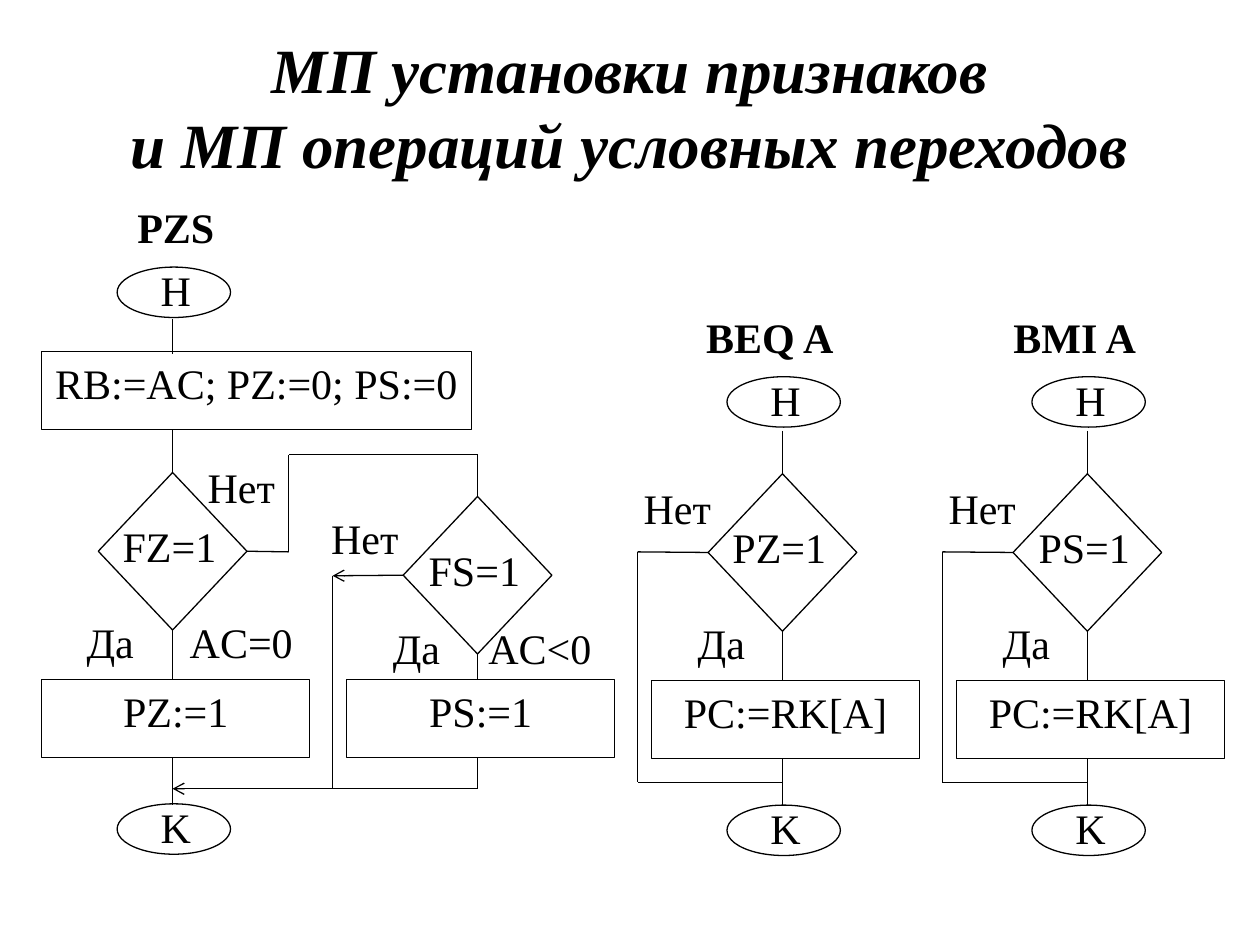
"""Build the slide with flowcharts for flag setting and conditional jumps."""
from dataclasses import dataclass

from lxml import etree
from pptx import Presentation, util as u
from pptx.dml.color import RGBColor
from pptx.enum import shapes, text
from pptx.oxml import ns


@dataclass(frozen=True)
class Theme:
    ink: RGBColor = RGBColor(0, 0, 0)
    face: str = "Times New Roman"
    head: int = 36
    body: int = 24
    line: float = 0.75


class Chart:
    def __init__(self, slide, theme):
        self.slide = slide
        self.theme = theme

    def letter(self, frame, words, size=None, bold=False, slant=False):
        frame.word_wrap = True
        para = frame.paragraphs[0]
        para.text = words
        para.alignment = text.PP_ALIGN.CENTER
        font = para.font
        font.name = self.theme.face
        font.size = u.Pt(size or self.theme.body)
        font.bold, font.italic = bold, slant
        font.color.rgb = self.theme.ink

    def label(self, x, y, words, w=1.21, h=0.54, mid=False, **style):
        box = self.slide.shapes.add_textbox(*map(u.Inches, (x, y, w, h)))
        if mid:
            box.text_frame.vertical_anchor = text.MSO_ANCHOR.MIDDLE
        self.letter(box.text_frame, words, **style)

    def shape(self, kind, x, y, w, h):
        item = self.slide.shapes.add_shape(kind, *map(u.Inches, (x, y, w, h)))
        item.shadow.inherit = False
        item.fill.background()
        item.line.color.rgb = self.theme.ink
        item.line.width = u.Pt(self.theme.line)
        return item

    def block(self, x, y, words, w=2.13):
        item = self.shape(shapes.MSO_SHAPE.RECTANGLE, x - 1.04, y, w, 0.62)
        item.text_frame.vertical_anchor = text.MSO_ANCHOR.TOP
        self.letter(item.text_frame, words)

    def oval(self, x, y, words):
        self.shape(shapes.MSO_SHAPE.OVAL, x - 0.44, y, 0.9, 0.4)
        self.label(x - 0.58, y - 0.07, words)

    def test(self, x, y, words):
        item = self.shape(shapes.MSO_SHAPE.DIAMOND, x - 0.59, y, 1.18, 1.25)
        self.label(x - 0.63, y + 0.33, words)
        return item

    def wire(self, start, end, out=None, into=None, arrow=False):
        ends = map(u.Inches, (*start, *end))
        item = self.slide.shapes.add_connector(shapes.MSO_CONNECTOR.STRAIGHT, *ends)
        if out:
            item.begin_connect(*out)
        if into:
            item.end_connect(*into)
        item.line.color.rgb = self.theme.ink
        item.line.width = u.Pt(self.theme.line)
        props = item._element.spPr
        if arrow:
            etree.SubElement(props.find(ns.qn("a:ln")), ns.qn("a:tailEnd"), type="arrow")
        etree.SubElement(props, ns.qn("a:effectLst"))

    def jump(self, x, name, flag):
        self.label(x - 0.82, 2.42, name, w=1.44, bold=True)
        self.oval(x, 2.99, "Н")
        test = self.test(x, 3.76, flag)
        self.block(x, 5.4, "PC:=RK[A]")
        self.oval(x, 6.39, "K")
        self.label(x - 1.09, 4.85, "Да")
        self.label(x - 1.44, 3.78, "Нет")
        side = x - 1.15
        self.wire((x, 3.42), (x, 3.76), into=(test, 0))
        self.wire((x, 5.01), (x, 5.4), out=(test, 2))
        self.wire((x, 6.02), (x, 6.4))
        self.wire((x - 0.59, 4.38), (side, 4.38), out=(test, 1))
        self.wire((side, 4.38), (side, 6.21))
        self.wire((x, 6.21), (side, 6.21))

    def flags(self, x, far):
        self.label(x - 0.58, 1.55, "PZS", bold=True)
        self.oval(x, 2.12, "Н")
        self.block(x, 2.79, "RB:=AC; PZ:=0; PS:=0", w=3.41)
        zero = self.test(x, 3.75, "FZ=1")
        sign = self.test(far, 3.94, "FS=1")
        self.block(x, 5.39, "PZ:=1")
        self.block(far, 5.39, "PS:=1")
        self.oval(x, 6.38, "K")
        for left, top, words in (
            (0.27, 4.84, "Да"), (1.31, 3.61, "Нет"), (1.31, 4.84, "AC=0"),
            (2.7, 4.89, "Да"), (2.29, 4.02, "Нет"), (3.68, 4.89, "AC<0"),
        ):
            self.label(left, top, words)
        self.wire((x, 2.53), (x, 2.81))
        self.wire((x, 3.41), (x, 3.75), into=(zero, 0))
        self.wire((x, 5), (x, 5.39), out=(zero, 2))
        self.wire((x, 6.01), (x, 6.39))
        self.wire((2.29, 4.38), (1.96, 4.38), into=(zero, 3))
        self.wire((2.29, 3.61), (2.29, 4.38))
        self.wire((far, 3.61), (2.29, 3.61))
        self.wire((far, 3.61), (far, 3.94), into=(sign, 0))
        self.wire((far, 5.19), (far, 5.39), out=(sign, 2))
        self.wire((far, 6.01), (far, 6.26))
        self.wire((3.2, 4.57), (2.64, 4.57), out=(sign, 1), arrow=True)
        self.wire((2.64, 4.57), (2.64, 6.26))
        self.wire((far, 6.26), (x, 6.26), arrow=True)


def main():
    deck = Presentation()
    deck.slide_width, deck.slide_height = u.Inches(10), u.Inches(7.5)
    theme = Theme()
    chart = Chart(deck.slides.add_slide(deck.slide_layouts[6]), theme)
    cols = [1.37 + 2.42 * i for i in range(4)]
    chart.flags(*cols[:2])
    chart.jump(cols[2], "BEQ A", "PZ=1")
    chart.jump(cols[3], "BMI A", "PS=1")
    title = "МП установки признаков\vи МП операций условных переходов"
    chart.label(0.27, 0.13, title, w=9.45, h=1.42, mid=True,
                size=theme.head, bold=True, slant=True)
    deck.save("out.pptx")


if __name__ == "__main__":
    main()
